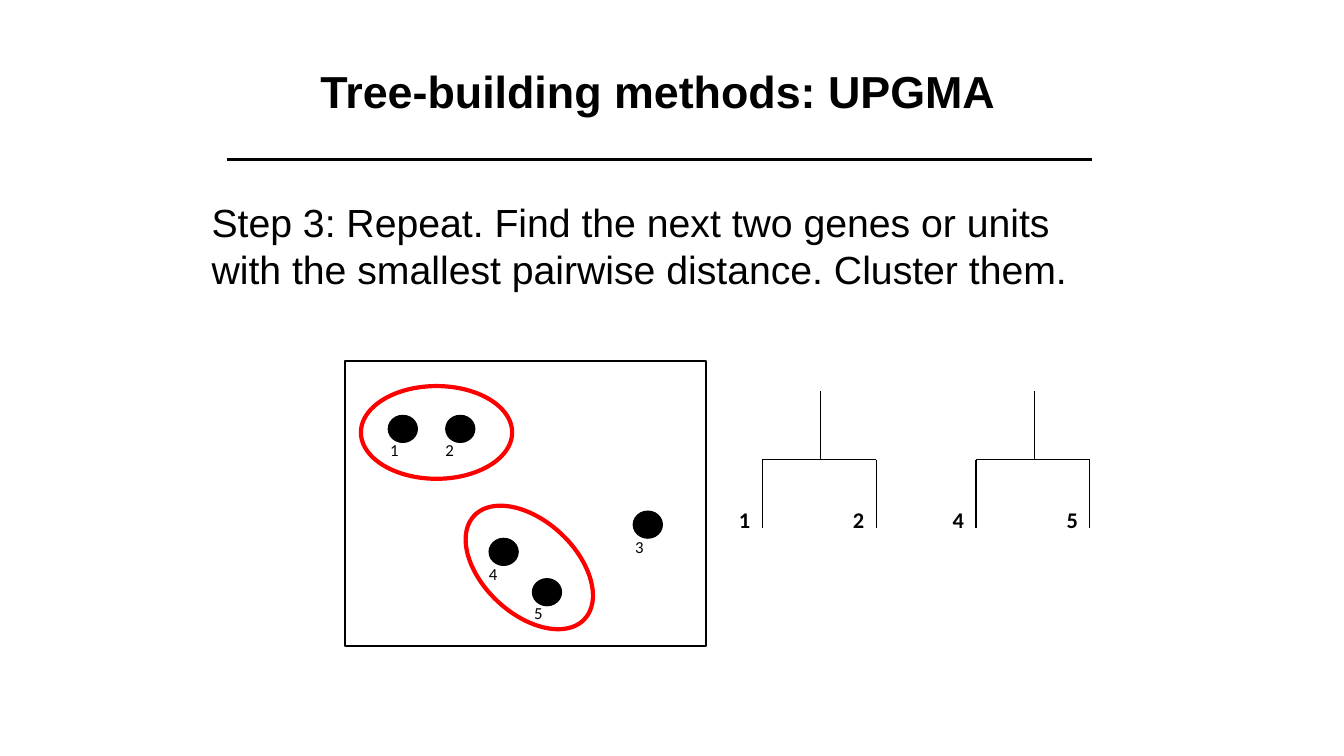
from dataclasses import dataclass

from lxml import etree
from pptx import Presentation
from pptx.dml.color import RGBColor
from pptx.enum.shapes import MSO_CONNECTOR, MSO_SHAPE
from pptx.enum.text import MSO_AUTO_SIZE
from pptx.oxml.ns import qn
from pptx.util import Pt

STRAIGHT = MSO_CONNECTOR.STRAIGHT
RECTANGLE = MSO_SHAPE.RECTANGLE
OVAL = MSO_SHAPE.OVAL
GROW = MSO_AUTO_SIZE.SHAPE_TO_FIT_TEXT

EMU_PER_PX = 9144  # 100 px to the inch
SLIDE_SIZE = (1333, 750)
BLANK_LAYOUT = 6


@dataclass(frozen=True)
class Theme:
    ink = RGBColor(0, 0, 0)
    cluster = RGBColor(255, 0, 0)
    title = {"name": "Arial", "size": Pt(32), "bold": True}
    body = {"name": "Arial", "size": Pt(28)}
    gene = {"name": "Calibri", "size": Pt(12)}
    leaf = {"name": "Calibri", "size": Pt(16), "bold": True}
    thin = Pt(0.75)
    frame = Pt(1.5)
    rule = Pt(2.25)
    ring = Pt(3)


THEME = Theme()

# Gene label: (dot position, label position), both within the panel
GENES = {
    "1": ((43, 54), (35, 73)),
    "2": ((100, 54), (90, 73)),
    "3": ((286, 149), (278, 170)),
    "4": ((143, 176), (133, 196)),
    "5": ((186, 216), (178, 235)),
}
# Cluster ellipses within the panel: left, top, rotation
CLUSTERS = [(16, 25, 0), (108, 159, 43.1)]
CLUSTER_SIZE = (150, 92)
DOT_SIZE = (29, 27)
GENE_LABEL_SIZE = (29, 30)
LEAF_LABEL_SIZE = (32, 37)


def emu(*lengths):
    return [round(length * EMU_PER_PX) for length in lengths]


def add_text(shapes, box, lines, font_format):
    frame = shapes.add_textbox(*emu(*box)).text_frame
    frame.word_wrap = False
    frame.auto_size = GROW
    for index, line in enumerate(lines):
        para = frame.paragraphs[0] if index == 0 else frame.add_paragraph()
        span = para.add_run()
        span.text = line
        for name, value in font_format.items():
            setattr(span.font, name, value)
        span.font.color.rgb = THEME.ink


def add_line(shapes, start, end, width):
    line = shapes.add_connector(STRAIGHT, *emu(*start, *end))
    line.line.color.rgb = THEME.ink
    line.line.width = width
    etree.SubElement(line._element.spPr, qn("a:effectLst"))


def add_outline(shapes, kind, box, color, width, filled=False):
    shape = shapes.add_shape(kind, *emu(*box))
    shape.shadow.inherit = False
    if filled:
        shape.fill.solid()
        shape.fill.fore_color.rgb = color
    else:
        shape.fill.background()
    shape.line.color.rgb = color
    shape.line.width = width
    return shape


def add_heading(page, box):
    left, top, width, height = box
    title_box = (left + 83, top, 691, 63)
    add_text(page.shapes, title_box, ["Tree-building methods: UPGMA"], THEME.title)
    bottom = top + height
    add_line(page.shapes, (left, bottom), (left + width, bottom), THEME.rule)


def add_step(page, box):
    lines = [
        "Step 3: Repeat. Find the next two genes or units",
        "with the smallest pairwise distance. Cluster them.",
    ]
    add_text(page.shapes, box, lines, THEME.body)


def add_gene_panel(page, box):
    """Framed scatter of numbered genes with rings around the clusters."""
    left, top = box[:2]
    panel = page.shapes.add_group_shape().shapes
    add_outline(panel, RECTANGLE, box, THEME.ink, THEME.frame)
    for (x, y), _ in GENES.values():
        dot_box = (left + x, top + y, *DOT_SIZE)
        add_outline(panel, OVAL, dot_box, THEME.ink, THEME.thin, filled=True)
    for gene, (_, (x, y)) in GENES.items():
        add_text(panel, (left + x, top + y, *GENE_LABEL_SIZE), [gene], THEME.gene)
    for x, y, rotation in CLUSTERS:
        ring_box = (left + x, top + y, *CLUSTER_SIZE)
        ring = add_outline(page.shapes, OVAL, ring_box, THEME.cluster, THEME.ring)
        ring.rotation = rotation


def add_tree(page, box, leaves):
    """Two-leaf tree: stem, crossbar and a labelled branch at each end."""
    left, top, width, height = box
    right, bottom = left + width, top + height
    fork = top + height // 2
    stem = left + 58
    for x, leaf in zip((left, right), leaves):
        label_box = (x - 33, top + 109, *LEAF_LABEL_SIZE)
        add_text(page.shapes, label_box, [leaf], THEME.leaf)
    for start, end in (
        ((left, fork), (right, fork)),
        ((left, fork), (left, bottom)),
        ((right, fork), (right, bottom)),
        ((stem, top), (stem, fork)),
    ):
        add_line(page.shapes, start, end, THEME.thin)


def main():
    deck = Presentation()
    deck.slide_width, deck.slide_height = emu(*SLIDE_SIZE)
    page = deck.slides.add_slide(deck.slide_layouts[BLANK_LAYOUT])
    add_heading(page, (225, 58, 858, 100))
    add_step(page, (200, 192, 905, 104))
    add_gene_panel(page, (342, 358, 358, 283))
    for left, leaves in ((756, "12"), (968, "45")):
        add_tree(page, (left, 388, 113, 136), leaves)
    deck.save("out.pptx")


if __name__ == "__main__":
    main()
